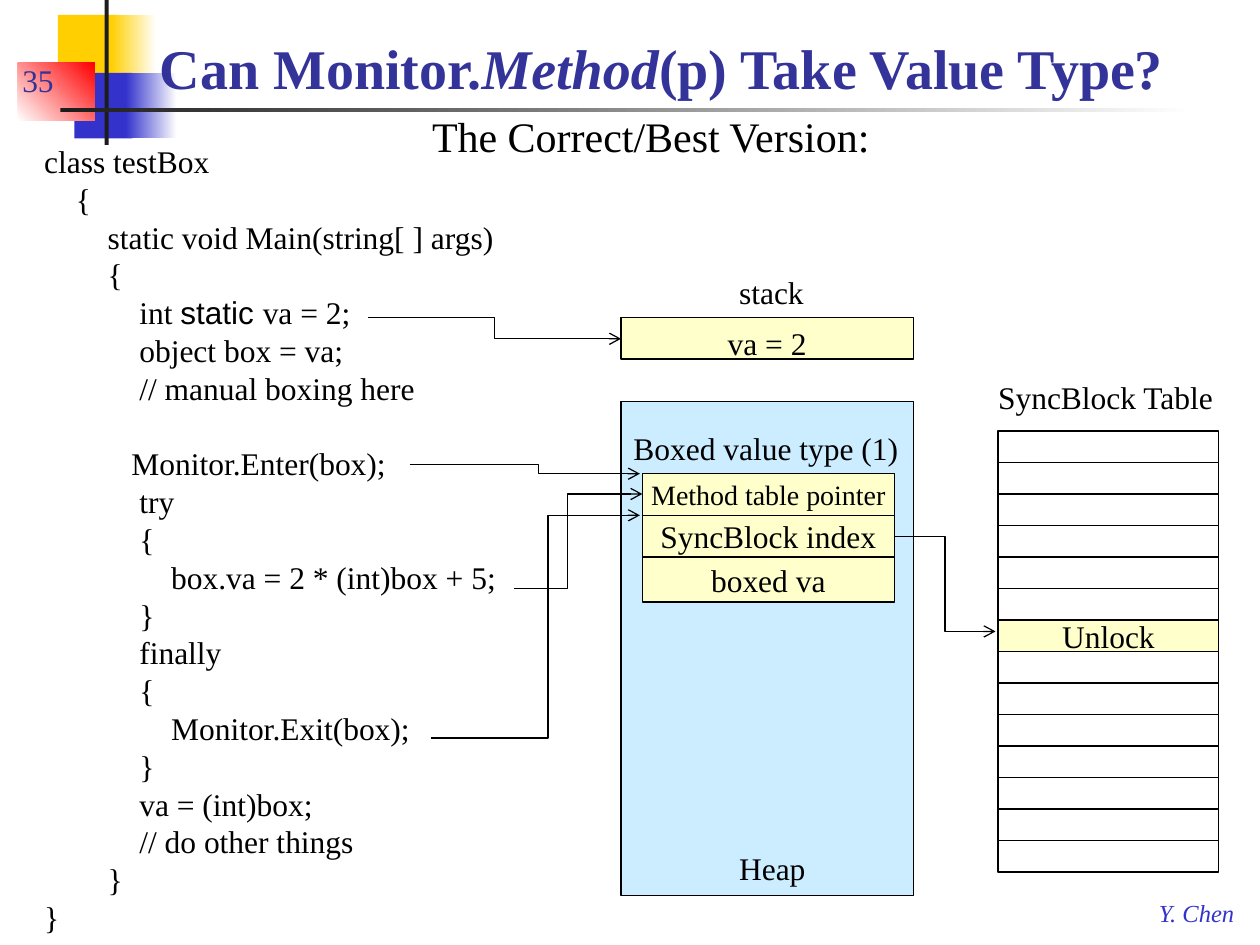
from lxml.etree import SubElement
from pptx import Presentation
from pptx.dml.color import RGBColor
from pptx.enum.shapes import MSO_CONNECTOR, MSO_SHAPE
from pptx.enum.text import MSO_ANCHOR, PP_ALIGN
from pptx.oxml.ns import qn
from pptx.util import Cm, Pt

SERIF = "Times New Roman"
BLACK, WHITE = "000000", "FFFFFF"
YELLOW, BLUE, RED, DARK = "FFCF01", "3333CC", "FF0000", "1C1C1C"
NAVY, CREAM, SKY = "333399", "FFFFCC", "CCECFF"
SPACE = 0.16
LINE_HEIGHT = 21.6

CODE = [
    (0, "class testBox"),
    (4, "{"),
    (8, "static void Main(string[ ] args)"),
    (8, "{"),
    (12, "int |static |va = 2;"),
    (12, "object box = va;"),
    (12, "// manual boxing here"),
    (11, "Monitor.Enter(box);"),
    (12, "try"),
    (12, "{"),
    (16, "box.va = 2 * (int)box + 5;"),
    (12, "}"),
    (12, "finally"),
    (12, "{"),
    (16, "Monitor.Exit(box);"),
    (12, "}"),
    (12, "va = (int)box;"),
    (12, "// do other things"),
    (8, "}"),
    (0, "}"),
]

ARROWS = [
    ((7.42, 6.4), (12.52, 6.83), 0.5),
    ((8.26, 9.37), (12.9, 9.55), 0.56),
    ((10.36, 11.86), (12.95, 9.96), 0.42),
    ((8.69, 14.88), (12.9, 10.39), 0.56),
    ((18.03, 10.82), (20.07, 12.73), 0.5),
]


def color(hex_string):
    """Return the colour for a hex string."""
    return RGBColor.from_string(hex_string)


def style(paragraph, size, hex_string=BLACK, bold=False, italic=False):
    """Set the font of a whole paragraph."""
    font = paragraph.font
    font.name, font.size, font.bold, font.italic = SERIF, Pt(size), bold, italic
    font.color.rgb = color(hex_string)


def add_text(slide, text, box, size=18, hex_string=BLACK, wrap=False,
             anchor=MSO_ANCHOR.TOP, **emphasis):
    """Add a one-paragraph text box; bars in the text separate its runs."""
    frame = slide.shapes.add_textbox(*map(Cm, box)).text_frame
    frame.word_wrap = wrap
    frame.vertical_anchor = anchor
    paragraph = frame.paragraphs[0]
    for part in text.split("|"):
        paragraph.add_run().text = part
    style(paragraph, size, hex_string, **emphasis)
    return paragraph


def add_rectangle(slide, box, fill, fade_to=None, angle=0, outlined=False):
    """Add a rectangle with a plain or fading fill."""
    shape = slide.shapes.add_shape(MSO_SHAPE.RECTANGLE, *map(Cm, box))
    shape.shadow.inherit = False
    if fade_to:
        shape.fill.gradient()
        shape.fill.gradient_angle = angle
        for stop, hex_string in zip(shape.fill.gradient_stops, (fill, fade_to)):
            stop.color.rgb = color(hex_string)
    else:
        shape.fill.solid()
        shape.fill.fore_color.rgb = color(fill)
    if outlined:
        shape.line.color.rgb = color(BLACK)
        shape.line.width = Pt(0.75)
    else:
        shape.line.fill.background()
    return shape


def add_cell(slide, box, text="", fill=CREAM, size=18, anchor=MSO_ANCHOR.MIDDLE):
    """Add an outlined memory cell with centred text."""
    shape = add_rectangle(slide, box, fill, outlined=True)
    if text:
        frame = shape.text_frame
        frame.word_wrap = False
        frame.vertical_anchor = anchor
        paragraph = frame.paragraphs[0]
        paragraph.text = text
        paragraph.alignment = PP_ALIGN.CENTER
        style(paragraph, size)


def add_arrow(slide, start, end, bend):
    """Add an elbow arrow that turns at the given share of its width."""
    connector = slide.shapes.add_connector(
        MSO_CONNECTOR.ELBOW, *map(Cm, start + end))
    connector.line.color.rgb = color(BLACK)
    connector.line.width = Pt(0.75)
    properties = connector._element.spPr
    guides = properties.find(qn("a:prstGeom")).get_or_add_avLst()
    SubElement(guides, qn("a:gd"), name="adj1", fmla=f"val {round(bend * 100000)}")
    SubElement(properties.find(qn("a:ln")), qn("a:tailEnd"), type="arrow")
    SubElement(properties, qn("a:effectLst"))


def draw_ornament(slide, left, top):
    """Draw the coloured squares and the two crossing bars."""
    for x, y, fade_x, solid, fade, hex_string in (
            (0.81, 0.3, 1.88, 1.22, 0.91, YELLOW),
            (1.14, 1.47, 2.18, 1.17, 1.02, BLUE)):
        add_rectangle(slide, (left + x, top + y, solid, 1.32), hex_string)
        add_rectangle(slide, (left + fade_x, top + y, fade, 1.32), hex_string, WHITE)
    add_rectangle(slide, (left, top + 1.27, 1.55, 1.17), WHITE, RED, 45)
    add_rectangle(slide, (left + 1.75, top, 0.08, 2.92), DARK)
    add_rectangle(slide, (left + 0.86, top + 2.18, 22.86, 0.08), DARK, WHITE)


def draw_header(slide, left, top):
    """Place the slide number, title and subtitle."""
    bottom = MSO_ANCHOR.BOTTOM
    add_text(slide, "35", (left, top + 0.41, 5.28, 1.27), 18, NAVY, True, bottom)
    title = add_text(slide, "Can Monitor.|Method|(p) Take Value Type?",
                     (left + 2.77, top, 22.02, 1.73), 32, NAVY, True, bottom, bold=True)
    title.runs[1].font.italic = True
    add_text(slide, "The Correct/Best Version:", (left + 8.26, top + 1.68, 9.55, 1.27), 24)


def draw_code(slide, left, top, width, height):
    """Place the code listing with indented lines."""
    frame = slide.shapes.add_textbox(*map(Cm, (left, top, width, height))).text_frame
    frame.word_wrap = True
    for index, (indent, text) in enumerate(CODE):
        paragraph = frame.add_paragraph() if index else frame.paragraphs[0]
        for part in text.split("|"):
            run = paragraph.add_run()
            run.text = part
            if part == "static ":
                run.font.name = "Arial"
        style(paragraph, 18)
        paragraph.line_spacing = Pt(LINE_HEIGHT)
        paragraph._p.get_or_add_pPr().set("marL", str(Cm(indent * SPACE)))
        if text.startswith("Monitor.Enter"):
            paragraph.space_before = Pt(LINE_HEIGHT)


def draw_memory(slide, left, top, width):
    """Draw the stack above the heap with its boxed object."""
    add_text(slide, "stack", (left + 2.13, top, 1.83, 1.02))
    add_cell(slide, (left, top + 1.02, width, 0.84), "va = 2", anchor=MSO_ANCHOR.TOP)
    add_cell(slide, (left, top + 2.72, width, 9.96), fill=SKY)
    add_text(slide, "Boxed value type (1)", (left, top + 3.15, width, 1.02))
    y = top + 4.17
    for text, size, height in (("Method table pointer", 16, 0.84),
                               ("SyncBlock index", 18, 0.84),
                               ("boxed va", 18, 0.91)):
        add_cell(slide, (left + 0.43, y, 5.08, height), text, size=size)
        y += height
    add_text(slide, "Heap", (left + 2.13, top + 11.61, 1.85, 1.02))


def draw_sync_table(slide, left, top, width, height, rows=14, used=6):
    """Draw the column of sync blocks with one block in use."""
    add_text(slide, "SyncBlock Table", (left - 0.25, top - 1.2, 4.9, 1.02))
    step = height / rows
    for row in [*(r for r in range(rows) if r != used), used]:
        text, fill = ("Unlock", CREAM) if row == used else ("", WHITE)
        add_cell(slide, (left, top + row * step, width, step), text, fill)


def main():
    """Build and save the slide."""
    presentation = Presentation()
    presentation.slide_width, presentation.slide_height = Cm(25.4), Cm(19.05)
    slide = presentation.slides.add_slide(presentation.slide_layouts[6])
    draw_ornament(slide, 0.36, 0)
    add_text(slide, "Y. Chen", (23.11, 17.98, 2.08, 0.84), 14, BLUE, italic=True)
    draw_header(slide, 0.2, 0.43)
    draw_code(slide, 0.64, 2.74, 10.36, 16.41)
    draw_memory(slide, 12.52, 5.38, 5.89)
    draw_sync_table(slide, 20.12, 8.69, 4.45, 8.89)
    for start, end, bend in ARROWS:
        add_arrow(slide, start, end, bend)
    presentation.save("out.pptx")


if __name__ == "__main__":
    main()
